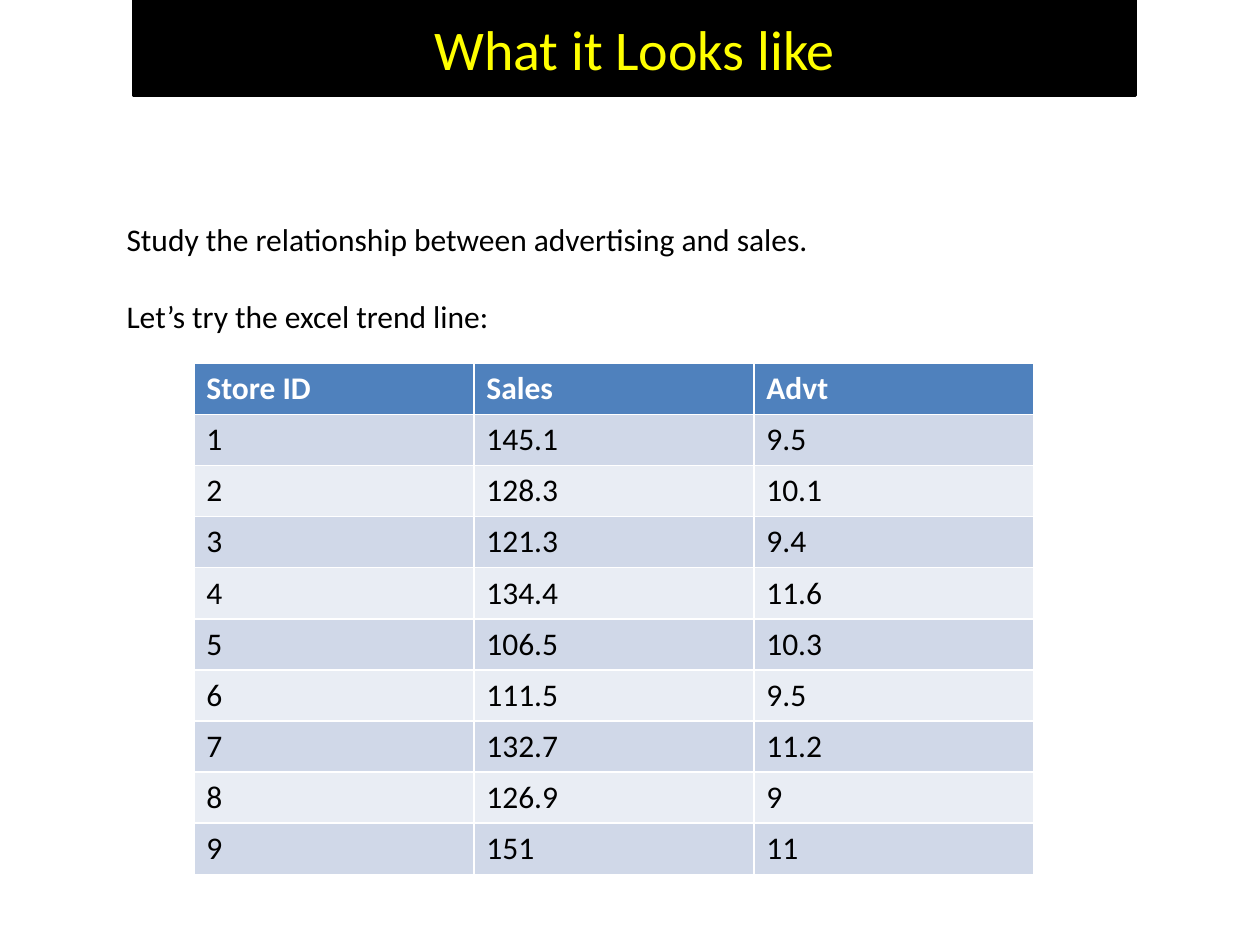
from pptx import Presentation
from pptx.dml.color import RGBColor
from pptx.enum import shapes, text
from pptx import util as u

BLACK = RGBColor(0x00, 0x00, 0x00)
WHITE = RGBColor(0xFF, 0xFF, 0xFF)
YELLOW = RGBColor(0xFF, 0xFF, 0x00)
BLUE = RGBColor(0x4F, 0x81, 0xBD)
BANDS = RGBColor(0xE9, 0xED, 0xF4), RGBColor(0xD0, 0xD8, 0xE8)

STORES = [
    ("Store ID", "Sales", "Advt"),
    ("1", "145.1", "9.5"),
    ("2", "128.3", "10.1"),
    ("3", "121.3", "9.4"),
    ("4", "134.4", "11.6"),
    ("5", "106.5", "10.3"),
    ("6", "111.5", "9.5"),
    ("7", "132.7", "11.2"),
    ("8", "126.9", "9"),
    ("9", "151", "11"),
]


class Page:
    """Holds the style and the current slide, and adds elements in points."""

    face = "Calibri"
    size = 18

    def __init__(self, slide):
        self.slide = slide

    def label(self, para, words, color=BLACK, size=None, bold=False):
        para.text = words
        font = para.font
        font.name, font.size, font.bold = self.face, u.Pt(size or self.size), bold
        font.color.rgb = color

    def banner(self, words, *area):
        bar = self.slide.shapes.add_shape(
            shapes.MSO_SHAPE.RECTANGLE, *map(u.Pt, area))
        bar.shadow.inherit = False
        bar.fill.solid()
        bar.fill.fore_color.rgb = BLACK
        bar.line.color.rgb = BLACK
        bar.line.width = u.Pt(2)
        frame = bar.text_frame
        frame.vertical_anchor = text.MSO_ANCHOR.MIDDLE
        para = frame.paragraphs[0]
        para.alignment = text.PP_ALIGN.CENTER
        self.label(para, words, YELLOW, 32)

    def notes(self, lines, *area, gap):
        frame = self.slide.shapes.add_textbox(*map(u.Pt, area)).text_frame
        frame.word_wrap = True
        frame.auto_size = text.MSO_AUTO_SIZE.SHAPE_TO_FIT_TEXT
        for num, line in enumerate(lines):
            para = frame.add_paragraph() if num else frame.paragraphs[0]
            para.space_before = u.Pt(gap if num else 0)
            self.label(para, line)

    def table(self, rows, *area):
        grid = self.slide.shapes.add_table(
            len(rows), len(rows[0]), *map(u.Pt, area)).table
        for r, row in enumerate(rows):
            for c, words in enumerate(row):
                cell = grid.cell(r, c)
                cell.fill.solid()
                cell.fill.fore_color.rgb = BANDS[r % 2] if r else BLUE
                self.label(cell.text_frame.paragraphs[0], words,
                           BLACK if r else WHITE, bold=r == 0)


def main():
    deck = Presentation()
    deck.slide_width, deck.slide_height = u.Pt(720), u.Pt(540)
    page = Page(deck.slides.add_slide(deck.slide_layouts[6]))
    page.banner("What it Looks like", 76.5, 0, 572.5, 54.5)
    page.notes(["Study the relationship between advertising and sales.",
                "Let’s try the excel trend line:"], 65.25, 122.4, 595.5, 138, gap=22)
    page.table(STORES, 110.75, 207.6, 480, 292)
    deck.save("out.pptx")


if __name__ == "__main__":
    main()
